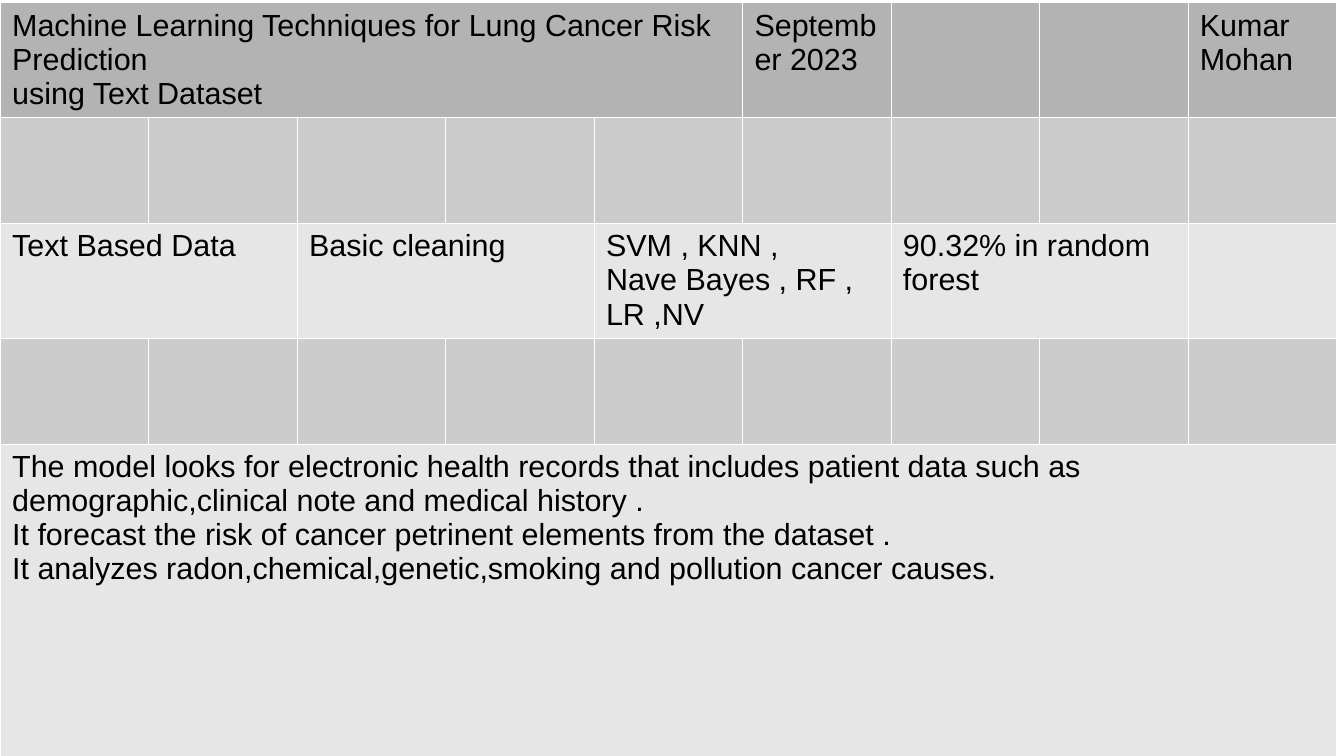
"""Build a one-table slide summarising a lung cancer prediction study."""
from dataclasses import dataclass

from lxml.etree import SubElement
from pptx import Presentation
from pptx.dml.color import RGBColor
from pptx.oxml.ns import qn
from pptx.util import Cm, Pt

ROWS = [
    ("header", 2.21, [
        (5, ["Machine Learning Techniques for Lung Cancer Risk Prediction", "using Text Dataset"]),
        (1, ["September 2023"]),
        (1, []),
        (1, []),
        (1, ["Kumar Mohan"]),
    ]),
    ("band", 2.21, [(1, [])] * 9),
    ("plain", 2.21, [
        (2, ["Text Based Data"]),
        (2, ["Basic cleaning"]),
        (2, ["SVM , KNN ,", "Nave Bayes , RF , LR ,NV"]),
        (2, ["90.32% in random forest"]),
        (1, []),
    ]),
    ("band", 2.21, [(1, [])] * 9),
    ("plain", 6.65, [
        (9, [
            "The model looks for electronic health records that includes patient data "
            "such as demographic,clinical note and medical history .",
            "It forecast the risk of cancer petrinent elements from the dataset .",
            "It analyzes radon,chemical,genetic,smoking and pollution cancer causes.",
        ]),
    ]),
]
COLUMN_COUNT = 9
TABLE_TOP = Cm(0.05)
TABLE_WIDTH = Cm(27.84)


@dataclass(frozen=True)
class Theme:
    """Colours and type of the slide."""
    header: str = "B3B3B3"
    band: str = "CCCCCC"
    plain: str = "E6E6E6"
    border: str = "FFFFFF"
    border_width: float = 0.06
    text: str = "000000"
    font: str = "Arial"
    size: int = 18


THEME = Theme()


def style_cell(cell, colour):
    """Give a cell thin borders and a solid fill."""
    properties = cell._tc.get_or_add_tcPr()
    for side in ("lnL", "lnR", "lnT", "lnB"):
        line = SubElement(properties, qn(f"a:{side}"), w=str(Pt(THEME.border_width)))
        SubElement(SubElement(line, qn("a:solidFill")), qn("a:srgbClr"), val=THEME.border)
    cell.fill.solid()
    cell.fill.fore_color.rgb = RGBColor.from_string(colour)


def write_cell(cell, lines):
    """Write one paragraph per line."""
    cell.text = "\n".join(lines)
    for paragraph in cell.text_frame.paragraphs:
        paragraph.font.name = THEME.font
        paragraph.font.size = Pt(THEME.size)
        paragraph.font.color.rgb = RGBColor.from_string(THEME.text)


def add_study_table(page):
    """Add the study table, merging cells by their column spans."""
    heights = [Cm(height) for _, height, _ in ROWS]
    table = page.shapes.add_table(
        len(ROWS), COLUMN_COUNT, 0, TABLE_TOP, TABLE_WIDTH, sum(heights)
    ).table
    table.first_row = False
    table.horz_banding = False
    for row_index, (kind, _, entries) in enumerate(ROWS):
        row = table.rows[row_index]
        row.height = heights[row_index]
        for cell in row.cells:
            style_cell(cell, getattr(THEME, kind))
        column = 0
        for span, lines in entries:
            cell = table.cell(row_index, column)
            if span > 1:
                cell.merge(table.cell(row_index, column + span - 1))
            write_cell(cell, lines)
            column += span


def main():
    """Create and save the deck."""
    deck = Presentation()
    deck.slide_width, deck.slide_height = Cm(28), Cm(15.75)
    page = deck.slides.add_slide(deck.slide_layouts[6])
    add_study_table(page)
    deck.save("out.pptx")


if __name__ == "__main__":
    main()
